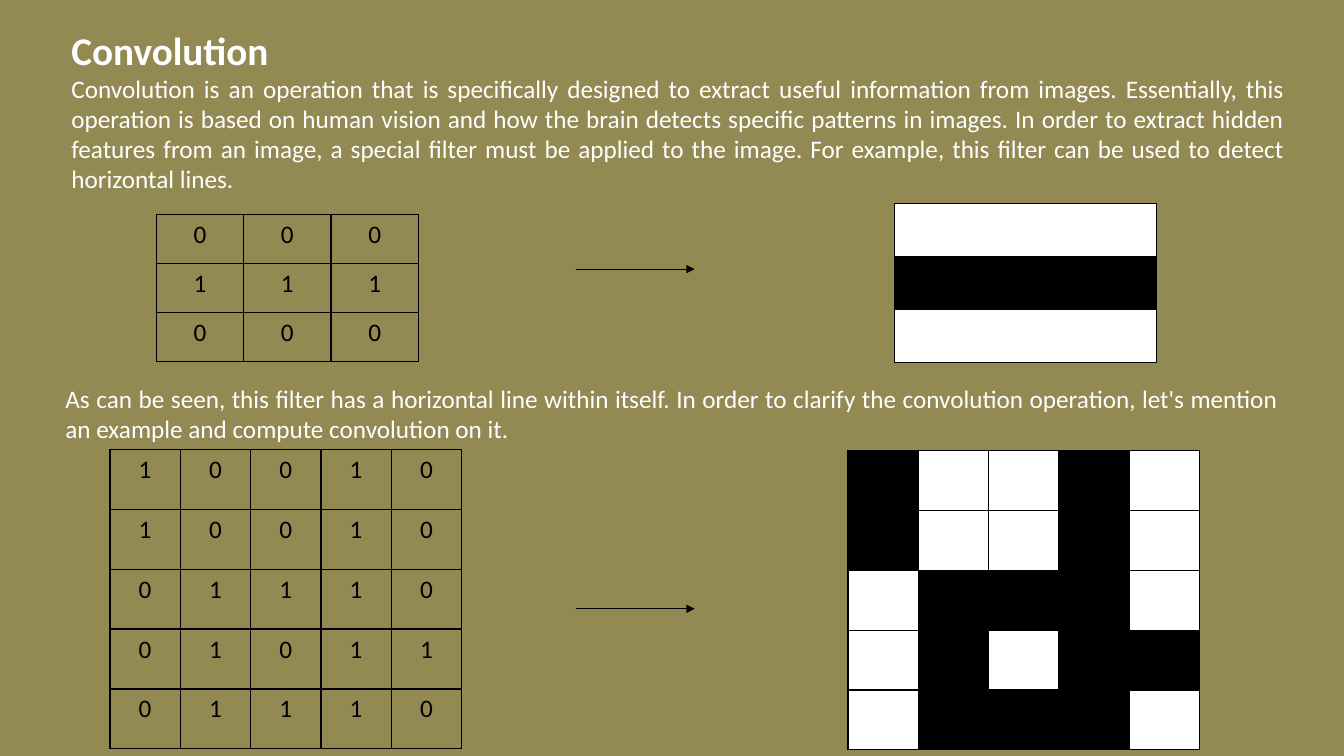
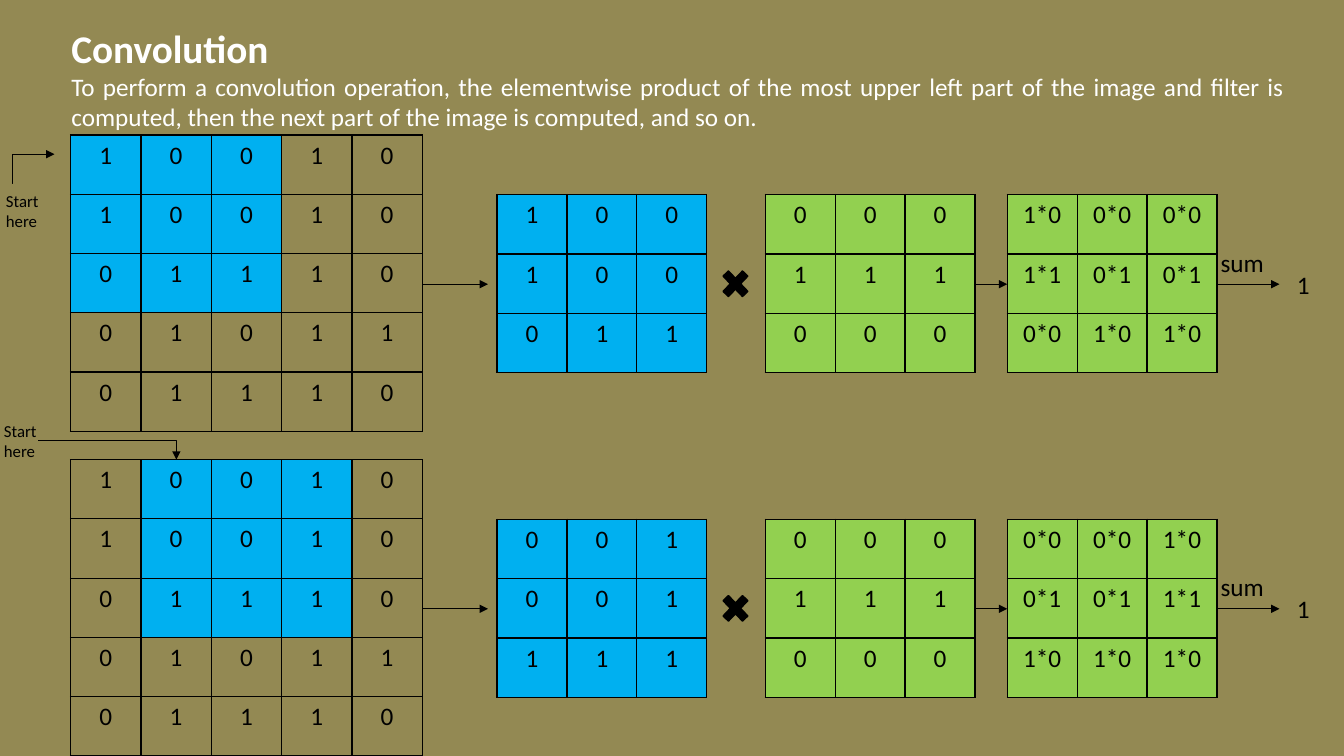
"""Build two slides that explain the convolution operation."""
from lxml import etree
from pptx import Presentation
from pptx import util as u
from pptx.dml import color
from pptx.enum import shapes, text
from pptx.oxml import ns

COLORS = {"olive": "938953", "white": "FFFFFF", "black": "000000",
          "blue": "00B0F0", "green": "92D050"}
FONT = "Calibri"
SIZES = {"title": 28, "body": 18, "note": 12}
ALIGN = {"left": text.PP_ALIGN.LEFT, "center": text.PP_ALIGN.CENTER,
         "justify": text.PP_ALIGN.JUSTIFY}

IMAGE = [[1, 0, 0, 1, 0],
         [1, 0, 0, 1, 0],
         [0, 1, 1, 1, 0],
         [0, 1, 0, 1, 1],
         [0, 1, 1, 1, 0]]
FILTER = [[0, 0, 0], [1, 1, 1], [0, 0, 0]]
STEP_GAP = 3.22

INTRO = ("Convolution is an operation that is specifically designed to extract "
         "useful information from images. Essentially, this operation is based on "
         "human vision and how the brain detects specific patterns in images. In "
         "order to extract hidden features from an image, a special filter must be "
         "applied to the image. For example, this filter can be used to detect "
         "horizontal lines.")
EXAMPLE = ("As can be seen, this filter has a horizontal line within itself. In "
           "order to clarify the convolution operation, let's mention an example "
           "and compute convolution on it.")
METHOD = ("To perform a convolution operation, the elementwise product of the most "
          "upper left part of the image and filter is computed, then the next part "
          "of the image is computed, and so on.")


def rgb(name):
    """Return the named colour."""
    return color.RGBColor.from_string(COLORS[name])


def paint(fill, name):
    """Fill with the named colour, or with nothing."""
    if name is None:
        fill.background()
    else:
        fill.solid()
        fill.fore_color.rgb = rgb(name)


def inches(*values):
    """Convert numbers to lengths."""
    return [u.Inches(v) for v in values]


def write(p, content, size="body", ink="black", align="center", bold=False):
    """Write one formatted run in a paragraph."""
    p.alignment = ALIGN[align]
    r = p.add_run()
    r.text = content
    values = {"name": FONT, "size": u.Pt(SIZES[size]), "bold": bold}
    for key, value in values.items():
        setattr(r.font, key, value)
    r.font.color.rgb = rgb(ink)


def add_text(s, box, content, **style):
    """Add a wrapping text box and return its frame."""
    tf = s.shapes.add_textbox(*inches(*box)).text_frame
    tf.word_wrap = True
    tf.auto_size = text.MSO_AUTO_SIZE.SHAPE_TO_FIT_TEXT
    write(tf.paragraphs[0], content, **style)
    return tf


def add_slide(prs, top, height, body):
    """Add a slide with the shared background, title and opening text."""
    s = prs.slides.add_slide(prs.slide_layouts[6])
    paint(s.background.fill, "olive")
    shared = {"ink": "white", "align": "justify"}
    tf = add_text(s, (0.61, top, 12.23, height), "Convolution",
                  size="title", bold=True, **shared)
    tf.paragraphs[0].line_spacing = 1.19
    write(tf.add_paragraph(), body, **shared)
    return s


def add_borders(cell):
    """Draw a thin black line on each side of a cell."""
    tc_pr = cell._tc.get_or_add_tcPr()
    for side in ("lnL", "lnR", "lnT", "lnB"):
        ln = etree.SubElement(tc_pr, ns.qn(f"a:{side}"), w=str(u.Pt(1)))
        solid = etree.SubElement(ln, ns.qn("a:solidFill"))
        etree.SubElement(solid, ns.qn("a:srgbClr"), val=COLORS["black"])


def add_grid(s, box, values, fill_at=lambda row, col: None, labels=True):
    """Add a table of equal cells, filled by a rule of row and column."""
    rows, cols = len(values), len(values[0])
    table = s.shapes.add_table(rows, cols, *inches(*box)).table
    table.first_row = table.horz_banding = False
    for col in table.columns:
        col.width = u.Inches(box[2] / cols)
    for i, row in enumerate(values):
        table.rows[i].height = u.Inches(box[3] / rows)
        for j, value in enumerate(row):
            cell = table.cell(i, j)
            add_borders(cell)
            paint(cell.fill, fill_at(i, j))
            if labels:
                write(cell.text_frame.paragraphs[0], str(value))


def add_small_grid(s, left, top, values, fill):
    """Add a three by three table in one colour."""
    add_grid(s, (left, top, 2.08, 1.77), values, lambda row, col: fill)


def add_arrow(s, start, end, bend=None):
    """Add a straight arrow, or an elbow that turns at the given share."""
    kind = shapes.MSO_CONNECTOR.STRAIGHT if bend is None else shapes.MSO_CONNECTOR.ELBOW
    cxn = s.shapes.add_connector(kind, *inches(*start, *end))
    cxn.line.width = u.Pt(0.5)
    cxn.line.color.rgb = rgb("black")
    etree.SubElement(cxn.line._get_or_add_ln(), ns.qn("a:tailEnd"), type="triangle")
    sp_pr = cxn._element.spPr
    etree.SubElement(sp_pr, ns.qn("a:effectLst"))
    if bend is not None:
        guides = sp_pr.find(".//" + ns.qn("a:avLst"))
        etree.SubElement(guides, ns.qn("a:gd"), name="adj1",
                         fmla=f"val {round(bend * 100000)}")


def add_block(s, kind, box, fill):
    """Add a filled shape with a black outline."""
    sp = s.shapes.add_shape(kind, *inches(*box))
    sp.shadow.inherit = False
    paint(sp.fill, fill)
    sp.line.color.rgb = rgb("black")
    sp.line.width = u.Pt(1)
    return sp


def add_step(s, top, shift):
    """Add one row of the computation, with the window moved by shift columns."""
    window = [row[shift:shift + 3] for row in IMAGE[:3]]
    pairs = [list(zip(*rows)) for rows in zip(window, FILTER)]
    products = [[f"{a}*{b}" for a, b in row] for row in pairs]
    total = sum(a * b for row in pairs for a, b in row)
    middle = top + 1.48

    add_grid(s, (0.7, top, 3.49, 2.94), IMAGE,
             lambda row, col: "blue" if row < 3 and shift <= col < shift + 3 else None)
    for left, values, fill in ((4.93, window, "blue"), (7.59, FILTER, "green"),
                               (9.99, products, "green")):
        add_small_grid(s, left, top + 0.59, values, fill)
    for start, end in ((4.2, 4.84), (9.67, 9.99), (12.07, 12.69)):
        add_arrow(s, (start, middle), (end, middle))
    times = add_block(s, shapes.MSO_SHAPE.MATH_MULTIPLY,
                      (7.11, middle - 0.2, 0.37, 0.39), "black")
    times.adjustments[0] = 0.2
    add_text(s, (12, middle - 0.42, 0.64, 0.4), "sum")
    add_text(s, (12.69, middle - 0.2, 0.47, 0.4), str(total))


def build_filter_slide(prs):
    """Show the filter and the image as numbers and as pixels."""
    s = add_slide(prs, 0.12, 1.87, INTRO)
    add_grid(s, (1.55, 2.13, 2.6, 1.46), FILTER)
    for i, fill in enumerate(("white", "black", "white")):
        add_block(s, shapes.MSO_SHAPE.RECTANGLE,
                  (8.87, 2.02 + 0.525 * i, 2.6, 0.53), fill)
    add_text(s, (0.55, 3.75, 12.23, 0.71), EXAMPLE, ink="white", align="justify")
    add_grid(s, (1.09, 4.46, 3.49, 2.97), IMAGE)
    add_grid(s, (8.41, 4.47, 3.49, 2.97), IMAGE,
             lambda row, col: "black" if IMAGE[row][col] else "white", labels=False)
    for y in (2.67, 6.04):
        add_arrow(s, (5.71, y), (6.89, y))


def build_steps_slide(prs):
    """Show the first two steps of the computation."""
    s = add_slide(prs, 0.1, 1.27, METHOD)
    for shift in range(2):
        add_step(s, 1.34 + STEP_GAP * shift, shift)
    for left, top in ((-0.04, 1.84), (-0.06, 4.12)):
        add_text(s, (left, top, 0.65, 0.5), "Start here", size="note", align="left")
    add_arrow(s, (0.12, 1.82), (0.54, 1.53), bend=0.01)
    add_arrow(s, (0.38, 4.37), (1.75, 4.56), bend=1)


def main():
    """Build and save the presentation."""
    prs = Presentation()
    prs.slide_width, prs.slide_height = inches(13.33, 7.5)
    build_filter_slide(prs)
    build_steps_slide(prs)
    prs.save("out.pptx")


main()
